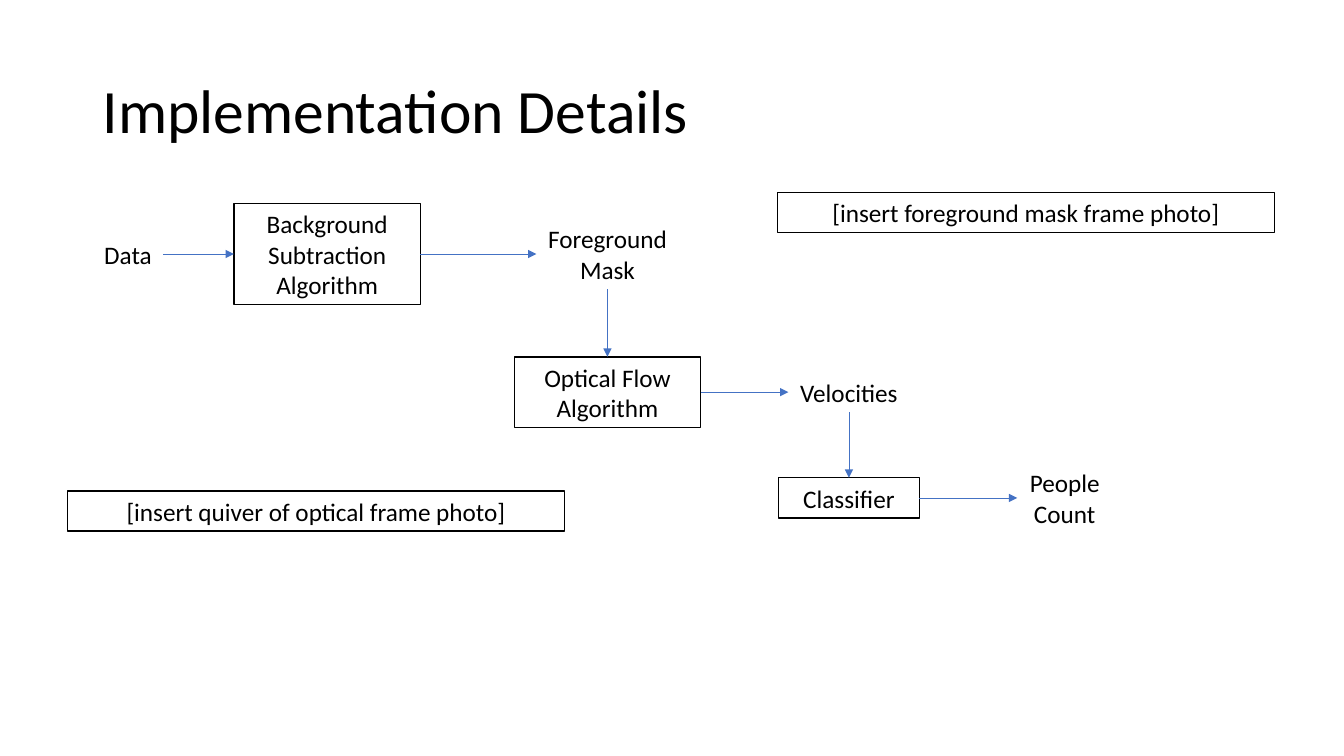
from lxml import etree
from pptx import Presentation
from pptx.dml.color import RGBColor
from pptx.enum.shapes import MSO_CONNECTOR, MSO_SHAPE
from pptx.enum.text import MSO_ANCHOR, PP_ALIGN
from pptx.oxml.ns import qn
from pptx.util import Pt

PX = 9144  # EMU per px, 100 px to the inch
BLACK = RGBColor(0x00, 0x00, 0x00)
WHITE = RGBColor(0xFF, 0xFF, 0xFF)
BLUE = RGBColor(0x44, 0x72, 0xC4)
RECT, STRAIGHT = MSO_SHAPE.RECTANGLE, MSO_CONNECTOR.STRAIGHT
MIDDLE, LEFT, CENTER = MSO_ANCHOR.MIDDLE, PP_ALIGN.LEFT, PP_ALIGN.CENTER
TOP_SITE, LEFT_SITE, BOTTOM_SITE, RIGHT_SITE = range(4)


class Deck:
    font = "Calibri"

    def __init__(self, width, height):
        self.prs = Presentation()
        self.prs.slide_width, self.prs.slide_height = width * PX, height * PX
        self.slide = self.prs.slides.add_slide(self.prs.slide_layouts[6])

    def set_text(self, s, text, size, align, spacing=None):
        tf = s.text_frame
        tf.word_wrap = True
        tf.vertical_anchor = MIDDLE
        for i, line in enumerate(text.split("\n")):
            p = tf.add_paragraph() if i else tf.paragraphs[0]
            p.text = line
            p.alignment = align
            p.line_spacing = spacing
            p.font.name, p.font.size = self.font, Pt(size)
            p.font.color.rgb = BLACK

    def title(self, x, y, w, h, text):
        s = self.slide.shapes.add_textbox(x * PX, y * PX, w * PX, h * PX)
        self.set_text(s, text, 44, LEFT, 0.9)

    def box(self, x, y, w, h, text, outlined=True):
        s = self.slide.shapes.add_shape(RECT, x * PX, y * PX, w * PX, h * PX)
        s.shadow.inherit = False
        s.fill.solid()
        s.fill.fore_color.rgb = WHITE
        if outlined:
            s.line.color.rgb = BLACK
            s.line.width = Pt(1)
        else:
            s.line.fill.background()
        self.set_text(s, text, 18, CENTER)
        return s

    def label(self, x, y, w, h, text):
        return self.box(x, y, w, h, text, outlined=False)

    def arrow(self, start, end, down=False):
        s = self.slide.shapes.add_connector(STRAIGHT, 0, 0, 0, 0)
        s.begin_connect(start, BOTTOM_SITE if down else RIGHT_SITE)
        s.end_connect(end, TOP_SITE if down else LEFT_SITE)
        s.line.color.rgb = BLUE
        s.line.width = Pt(0.5)
        sp = s._element.spPr
        etree.SubElement(sp.find(qn("a:ln")), qn("a:tailEnd"), type="triangle")
        etree.SubElement(sp, qn("a:effectLst"))


def main():
    deck = Deck(1333, 750)
    deck.title(92, 40, 1150, 145, "Implementation Details")

    # Processing steps and their results
    data = deck.label(92, 232, 70, 40, "Data")
    subtraction = deck.box(232, 202, 185, 100, "Background Subtraction\nAlgorithm")
    mask = deck.label(532, 217, 141, 70, "Foreground Mask")
    flow = deck.box(510, 354, 185, 70, "Optical Flow\nAlgorithm")
    velocities = deck.label(782, 369, 120, 40, "Velocities")
    classifier = deck.box(772, 474, 140, 40, "Classifier")
    count = deck.label(1009, 459, 94, 70, "People Count")

    # Flow between them
    for start, end in ((data, subtraction), (subtraction, mask),
                       (flow, velocities), (classifier, count)):
        deck.arrow(start, end)
    for start, end in ((mask, flow), (velocities, classifier)):
        deck.arrow(start, end, down=True)

    # Photo placeholders
    deck.box(771, 191, 493, 40, "[insert foreground mask frame photo]")
    deck.box(67, 487, 493, 40, "[insert quiver of optical frame photo]")

    deck.prs.save("out.pptx")


if __name__ == "__main__":
    main()
